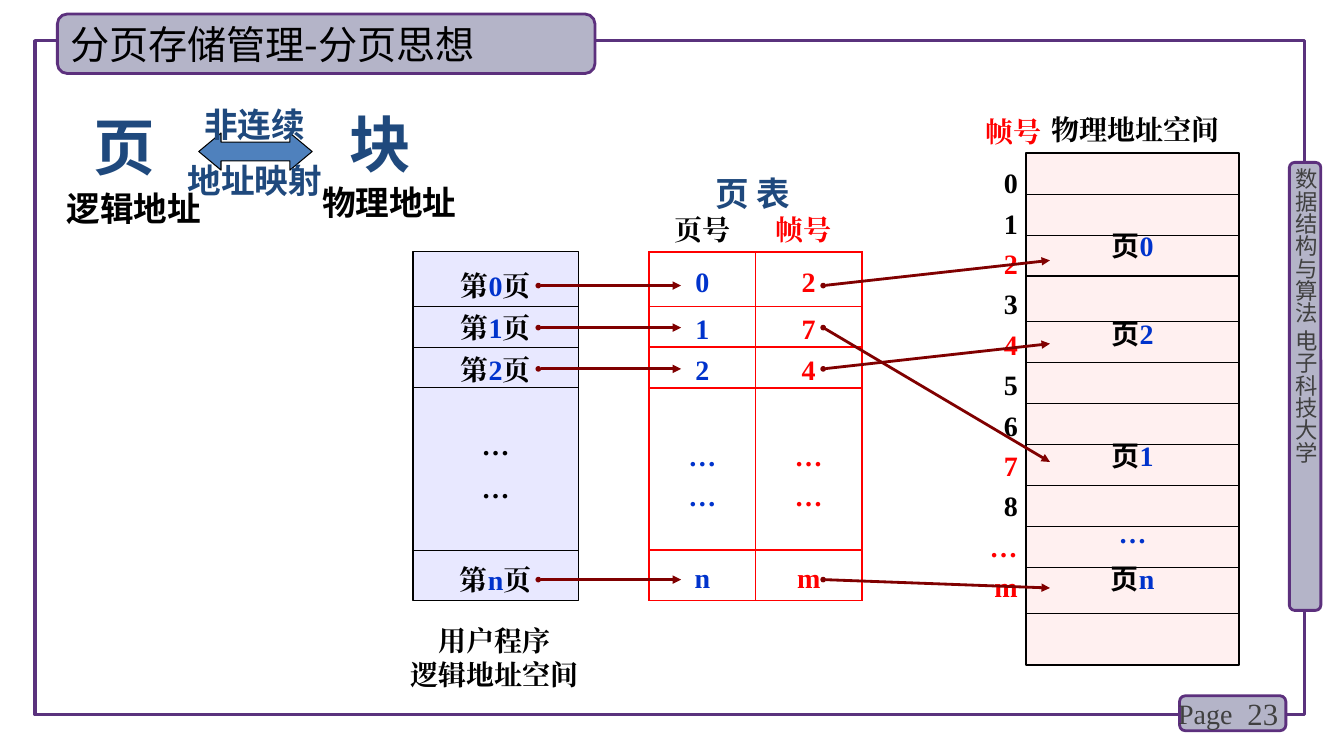
from dataclasses import dataclass
from itertools import accumulate

from lxml.etree import SubElement
from pptx import Presentation
from pptx.dml.color import RGBColor
from pptx.enum.shapes import MSO_CONNECTOR as Connector, MSO_SHAPE as Shape
from pptx.enum.text import MSO_ANCHOR as Anchor, PP_ALIGN as Align
from pptx.oxml.ns import qn
from pptx.util import Pt

BLACK, BLUE, RED, NAVY, GRAY = "000000", "0033CC", "FF0000", "1F497D", "404040"
PANEL, PURPLE, MAROON = "B4B4C8", "5C307D", "800000"
TIMES, SANS, CALIBRI, ARIAL = "Times New Roman", "Noto Sans CJK SC", "Calibri", "Arial"


@dataclass
class Span:
    text: str
    color: str = BLACK
    font: str = TIMES


@dataclass
class PageRow:
    page: str
    frame: str
    y: float
    target_y: float
    memory_y: float


@dataclass
class Label:
    text: str
    x: float
    y: float
    size: float = 20
    color: str = BLACK
    font: str = TIMES


@dataclass
class Block:
    left: float
    top: float
    width: float
    heights: list[float]
    tint: str
    alpha: int
    border: float


PAGE_ROWS = [
    PageRow("0", "2", 204, 186, 175.5),
    PageRow("1", "7", 234, 330, 325),
    PageRow("2", "4", 263.5, 245.5, 238),
    PageRow("n", "m", 414, 420, 413),
]
ROW_HEIGHTS = [39, 29, 29, 116, 36]
FRAME_HEIGHTS = [29.25] * 3 + [32.5] + [29.25] * 6 + [33, 36.7]
PROGRAM = Block(295, 180, 118, ROW_HEIGHTS, "0000FF", 9, 0.75)
MEMORY = Block(733, 109.4, 152, FRAME_HEIGHTS, "FF0000", 6, 1.5)
TABLE_LEFT, TABLE_WIDTH = 463.7, 152
FRAMES = [*"012345678", "…", "m"]
MARKED = {row.frame for row in PAGE_ROWS} | {"…"}
LABELS = [
    Label("页 表", 538, 138, 24, NAVY, SANS),
    Label("页号", 502, 163.5),
    Label("帧号", 574, 163.5, color=RED),
    Label("帧号", 724, 93.5, color=RED),
    Label("物理地址空间", 811, 92.5),
    Label("用户程序\n逻辑地址空间", 353.5, 469.5),
    Label("页", 89, 104, 44, NAVY, CALIBRI),
    Label("块", 271.5, 102, 44, NAVY, CALIBRI),
    Label("逻辑地址", 95.5, 149, 24, BLACK, CALIBRI),
    Label("物理地址", 278, 144, 24, BLACK, CALIBRI),
    Label("非连续", 182, 88.5, 24, NAVY, CALIBRI),
    Label("地址映射", 182, 128.5, 24, NAVY, CALIBRI),
]


def rgb(color: str) -> RGBColor:
    return RGBColor.from_string(color)


def write(frame, lines: list[list[Span]], *, size=20, bold=True, align=Align.CENTER,
          anchor=Anchor.MIDDLE, spacing=None, margins=(0, 0, 0, 0)):
    frame.word_wrap = True
    frame.vertical_anchor = anchor
    (frame.margin_left, frame.margin_top,
     frame.margin_right, frame.margin_bottom) = map(Pt, margins)
    for index, spans in enumerate(lines):
        para = frame.paragraphs[0] if index == 0 else frame.add_paragraph()
        para.alignment = align
        para.line_spacing = spacing
        for span in spans:
            run = para.add_run()
            run.text = span.text
            run.font.size = Pt(size)
            run.font.bold = bold
            run.font.name = span.font
            run.font.color.rgb = rgb(span.color)
            SubElement(run.font._element, qn("a:ea"), typeface=span.font)


def add_text(slide, left, top, width, height, lines, **text_format):
    box = slide.shapes.add_textbox(Pt(left), Pt(top), Pt(width), Pt(height))
    write(box.text_frame, lines, **text_format)
    return box


def add_centered(slide, x, y, lines, size=20):
    width = max(sum(len(span.text) for span in spans) for spans in lines) * size + 16
    height = 1.5 * size * len(lines)
    return add_text(slide, x - width / 2, y - height / 2, width, height, lines, size=size)


def add_box(slide, kind, left, top, width, height, *, fill=None, line=PURPLE,
            weight=2.0, alpha=None):
    box = slide.shapes.add_shape(kind, Pt(left), Pt(top), Pt(width), Pt(height))
    box.shadow.inherit = False
    box.line.color.rgb = rgb(line)
    box.line.width = Pt(weight)
    if fill is None:
        box.fill.background()
    else:
        box.fill.solid()
        box.fill.fore_color.rgb = rgb(fill)
    if alpha is not None:
        tint = box._element.spPr.find(qn("a:solidFill")).find(qn("a:srgbClr"))
        SubElement(tint, qn("a:alpha"), val=str(alpha * 1000))
    return box


def add_line(slide, x1, y1, x2, y2, *, color=BLACK, weight=0.75, arrow=False):
    line = slide.shapes.add_connector(Connector.STRAIGHT, Pt(x1), Pt(y1), Pt(x2), Pt(y2))
    line.line.color.rgb = rgb(color)
    line.line.width = Pt(weight)
    if arrow:
        outline = line.line._get_or_add_ln()
        SubElement(outline, qn("a:headEnd"), type="oval", w="sm", len="sm")
        SubElement(outline, qn("a:tailEnd"), type="triangle", w="med", len="med")
    SubElement(line._element.spPr, qn("a:effectLst"))


def add_block(slide, block: Block):
    add_box(slide, Shape.RECTANGLE, block.left, block.top, block.width, sum(block.heights),
            fill=block.tint, alpha=block.alpha, line=BLACK, weight=block.border)
    for offset in accumulate(block.heights[:-1]):
        y = block.top + offset
        add_line(slide, block.left, y, block.left + block.width, y)


def add_page_table(slide):
    entries = [(row.page, row.frame) for row in PAGE_ROWS]
    entries.insert(3, ("…\n…", "…\n…"))
    holder = slide.shapes.add_table(len(entries), 2, Pt(TABLE_LEFT), Pt(PROGRAM.top),
                                    Pt(TABLE_WIDTH), Pt(sum(ROW_HEIGHTS)))
    table = holder.table
    table.first_row = table.horz_banding = False
    for row, height, entry in zip(table.rows, ROW_HEIGHTS, entries):
        row.height = Pt(height)
        for cell, text, color in zip(row.cells, entry, (BLUE, RED)):
            properties = cell._tc.get_or_add_tcPr()
            for side in ("lnL", "lnR", "lnT", "lnB"):
                edge = SubElement(properties, qn(f"a:{side}"), w=str(Pt(1.25)))
                SubElement(SubElement(edge, qn("a:solidFill")), qn("a:srgbClr"), val=RED)
            cell.fill.solid()
            cell.fill.fore_color.rgb = rgb("FFFFFF")
            cell.vertical_anchor = Anchor.MIDDLE
            cell.margin_left = cell.margin_right = cell.margin_bottom = 0
            cell.margin_top = Pt(5)
            lines = [[Span(part, color)] for part in text.split("\n")]
            write(cell.text_frame, lines, anchor=None,
                  spacing=1.3 if len(lines) > 1 else None)
            cell.vertical_anchor = Anchor.MIDDLE
            cell.margin_top = Pt(5)


def add_decoration(slide):
    add_box(slide, Shape.RECTANGLE, 25, 29, 907, 481.5, line="5A327D", weight=2.25)
    add_box(slide, Shape.ROUNDED_RECTANGLE, 921, 116, 22.5, 320, fill=PANEL)
    side = add_text(slide, 923, 120, 19.5, 323, [[Span("数据结构与算法 电子科技大学", GRAY, SANS)]],
                    size=16, bold=False, align=Align.LEFT, anchor=Anchor.TOP)
    side.text_frame._txBody.bodyPr.set("vert", "eaVert")
    add_box(slide, Shape.ROUNDED_RECTANGLE, 842.5, 497, 76, 25, fill=PANEL)
    add_text(slide, 841.5, 495, 50, 29, [[Span("Page", GRAY)]], bold=False, align=Align.LEFT)
    add_text(slide, 873, 495, 40, 29, [[Span("23", GRAY)]], size=22, bold=False, align=Align.RIGHT)
    add_box(slide, Shape.ROUNDED_RECTANGLE, 41, 10, 384, 42.5, fill=PANEL)
    title = slide.shapes.title
    title.left, title.top, title.width, title.height = map(Pt, (41, 10, 384, 42.5))
    write(title.text_frame, [[Span("分页存储管理-分页思想", BLACK, SANS)]], size=28, bold=False,
          align=Align.LEFT, margins=(9, 0, 7, 0))
    slide.shapes._spTree.append(title._element)


deck = Presentation()
deck.slide_width, deck.slide_height = Pt(960), Pt(540)
page = deck.slides.add_slide(deck.slide_layouts[5])
add_decoration(page)
add_block(page, PROGRAM)
add_page_table(page)
add_block(page, MEMORY)

mapping = add_box(page, Shape.LEFT_RIGHT_ARROW, 142, 95, 81, 26.5,
                  fill="4F81BD", line=BLACK, weight=0.75)
mapping.adjustments[0], mapping.adjustments[1] = 0.5, 0.6
for label in LABELS:
    add_centered(page, label.x, label.y,
                 [[Span(text, label.color, label.font)] for text in label.text.split("\n")],
                 label.size)

add_text(page, 697, 113.5, 30, 318,
         [[Span(frame, RED if frame in MARKED else BLACK)] for frame in FRAMES],
         align=Align.RIGHT, anchor=Anchor.TOP, spacing=Pt(28.85))
for y in (317.5, 348):
    add_centered(page, 354, y, [[Span("…")]])
add_centered(page, 809, 380, [[Span("…", BLUE)]])
for row in PAGE_ROWS:
    add_centered(page, 354, row.y, [[Span("第"), Span(row.page, BLUE), Span("页")]])
    add_centered(page, 809, row.memory_y, [[Span("页", font=ARIAL), Span(row.page, BLUE)]])
    add_line(page, 384.5, row.y, 486.5, row.y, color=MAROON, weight=2, arrow=True)
    add_line(page, 588, row.y, 750, row.target_y, color=MAROON, weight=2, arrow=True)

deck.save("out.pptx")
